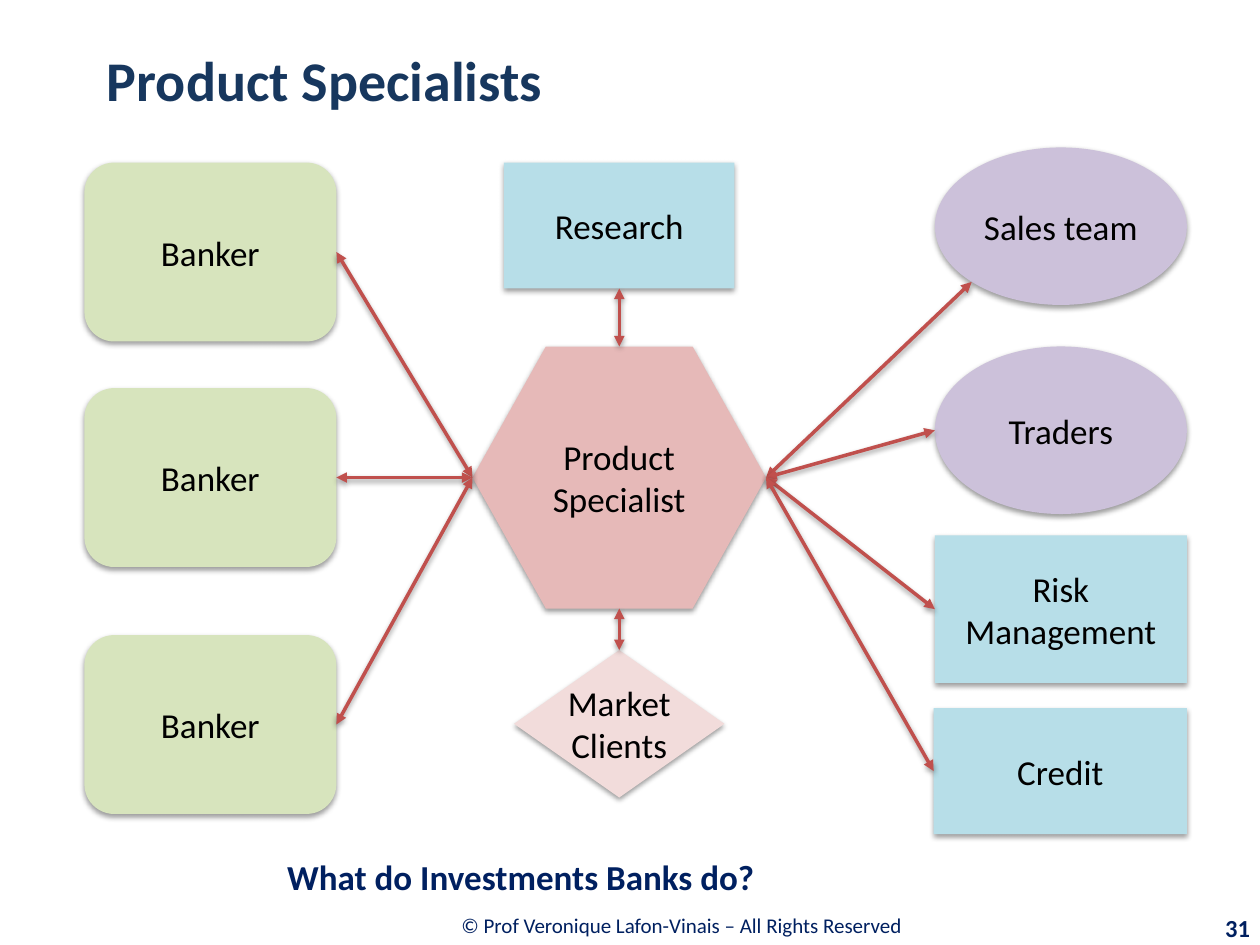
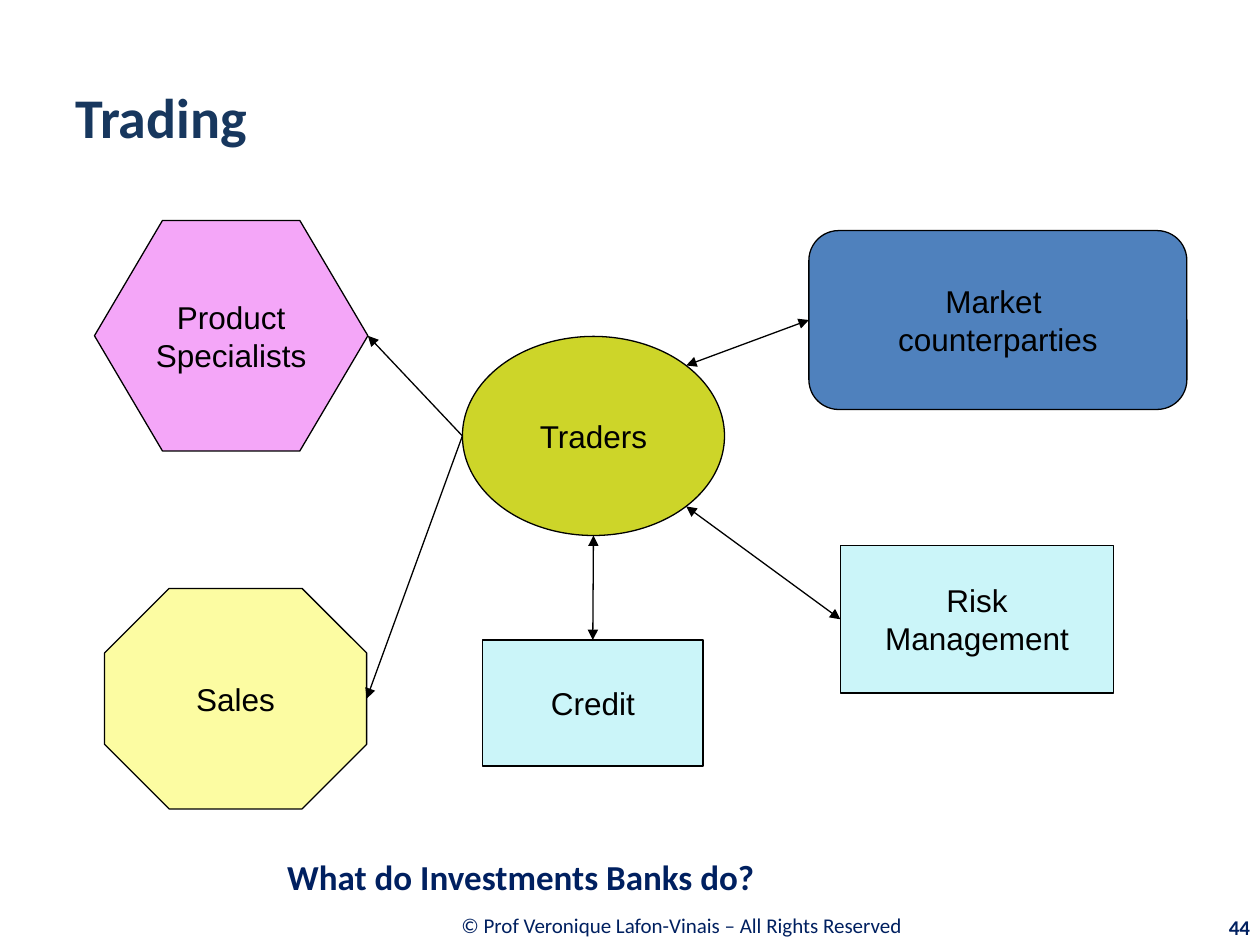
from lxml import etree
from pptx import Presentation
from pptx.dml.color import RGBColor
from pptx.enum.shapes import MSO_CONNECTOR, MSO_SHAPE
from pptx.enum.text import MSO_ANCHOR, PP_ALIGN
from pptx.oxml import parse_xml
from pptx.oxml.ns import nsdecls, qn
from pptx.util import Inches, Pt

TITLE_BLUE = RGBColor(0x17, 0x37, 0x5E)
NAVY = RGBColor(0x00, 0x20, 0x60)
BLACK = RGBColor(0x00, 0x00, 0x00)
RED = RGBColor(0xC0, 0x50, 0x4D)
ROSE = RGBColor(0xE6, 0xB9, 0xB8)
PALE_ROSE = RGBColor(0xF2, 0xDC, 0xDB)
GREEN = RGBColor(0xD7, 0xE4, 0xBD)
LILAC = RGBColor(0xCC, 0xC1, 0xDA)
AQUA = RGBColor(0xB7, 0xDE, 0xE8)
PALE_AQUA = RGBColor(0xCB, 0xF5, 0xF9)
YELLOW = RGBColor(0xFC, 0xFC, 0xA2)
LIME = RGBColor(0xCD, 0xD5, 0x29)
PINK = RGBColor(0xF4, 0xA6, 0xF8)
BLUE = RGBColor(0x4F, 0x81, 0xBD)

# Points on a shape, as fractions of its width and height
TOP, BOTTOM, LEFT, RIGHT = (0.5, 0), (0.5, 1), (0, 0.5), (1, 0.5)
LOWER_LEFT, UPPER_RIGHT, LOWER_RIGHT = (0.146, 0.854), (0.854, 0.146), (0.854, 0.854)

SHADOW = (f'<a:outerShdw {nsdecls("a")} blurRad="40000" dist="20000" dir="5400000" rotWithShape="0">'
          '<a:srgbClr val="000000"><a:alpha val="38000"/></a:srgbClr></a:outerShdw>')


def write(sp, text, size, font="Calibri", color=NAVY, bold=False, align=PP_ALIGN.LEFT, wrap=True):
    tf = sp.text_frame
    tf.text = text
    tf.word_wrap = wrap
    tf.vertical_anchor = MSO_ANCHOR.MIDDLE
    for p in tf.paragraphs:
        p.alignment = align
        p.font.size = Pt(size)
        p.font.name = font
        p.font.bold = bold
        p.font.color.rgb = color


def link(s, start, start_at, end, end_at, color, width, ends=("headEnd", "tailEnd")):
    """Draw an arrow between a point on one shape and a point on another."""
    points = [(int(sp.left + fx * sp.width), int(sp.top + fy * sp.height))
              for sp, (fx, fy) in ((start, start_at), (end, end_at))]
    line = s.shapes.add_connector(MSO_CONNECTOR.STRAIGHT, *points[0], *points[1])
    line.line.color.rgb = color
    line.line.width = Pt(width)
    ln = line.line._get_or_add_ln()
    for name in ends:
        etree.SubElement(ln, qn(f"a:{name}"), type="triangle")
    etree.SubElement(line._element.spPr, qn("a:effectLst"))


prs = Presentation()
prs.slide_width, prs.slide_height = Inches(10), Inches(7.5)

specialist_nodes = {
    "specialist": ("Product\nSpecialist", MSO_SHAPE.HEXAGON, ROSE, 3.75, 2.75, 2.33, 2.08),
    "banker 1": ("Banker", MSO_SHAPE.ROUNDED_RECTANGLE, GREEN, 0.67, 1.29, 2, 1.42),
    "banker 2": ("Banker", MSO_SHAPE.ROUNDED_RECTANGLE, GREEN, 0.67, 3.08, 2, 1.42),
    "banker 3": ("Banker", MSO_SHAPE.ROUNDED_RECTANGLE, GREEN, 0.67, 5.04, 2, 1.42),
    "sales": ("Sales team", MSO_SHAPE.OVAL, LILAC, 7.42, 1.17, 2, 1.25),
    "traders": ("Traders", MSO_SHAPE.OVAL, LILAC, 7.42, 2.75, 2, 1.33),
    "risk": ("Risk\nManagement", MSO_SHAPE.RECTANGLE, AQUA, 7.42, 4.25, 2, 1.17),
    "credit": ("Credit", MSO_SHAPE.RECTANGLE, AQUA, 7.41, 5.62, 2.01, 1),
    "research": ("Research", MSO_SHAPE.RECTANGLE, AQUA, 4, 1.29, 1.83, 1),
    "clients": ("Market\nClients", MSO_SHAPE.DIAMOND, PALE_ROSE, 4.08, 5.16, 1.67, 1.17),
}
specialist_links = [
    (LEFT, "banker 1", RIGHT), (LEFT, "banker 2", RIGHT), (LEFT, "banker 3", RIGHT),
    (RIGHT, "sales", LOWER_LEFT), (RIGHT, "traders", LEFT),
    (RIGHT, "risk", LEFT), (RIGHT, "credit", LEFT),
    (TOP, "research", BOTTOM), (BOTTOM, "clients", TOP),
]
trading_nodes = {
    "traders": ("Traders", MSO_SHAPE.OVAL, LIME, 3.67, 2.67, 2.08, 1.58),
    "sales": ("Sales", MSO_SHAPE.OCTAGON, YELLOW, 0.83, 4.67, 2.08, 1.75),
    "specialists": ("Product\nSpecialists", MSO_SHAPE.HEXAGON, PINK, 0.75, 1.75, 2.17, 1.83),
    "risk": ("Risk\nManagement", MSO_SHAPE.RECTANGLE, PALE_AQUA, 6.67, 4.33, 2.17, 1.17),
    "credit": ("Credit", MSO_SHAPE.RECTANGLE, PALE_AQUA, 3.83, 5.08, 1.75, 1),
    "market": ("Market \ncounterparties", MSO_SHAPE.FLOWCHART_ALTERNATE_PROCESS, BLUE,
               6.42, 1.83, 3, 1.42),
}
trading_links = [
    (LEFT, "sales", RIGHT, ["tailEnd"]), (LEFT, "specialists", RIGHT, ["tailEnd"]),
    (UPPER_RIGHT, "market", LEFT), (LOWER_RIGHT, "risk", LEFT), (BOTTOM, "credit", TOP),
]

slides = [
    dict(title="Product Specialists", title_box=(0.75, 0, 8.5, 1.25), number="31", number_size=14,
         nodes=specialist_nodes, links=specialist_links, hub="specialist", hexagon=0.28,
         font="Calibri", size=20, line=(RED, 2), raised=True),
    dict(title="Trading", title_box=(0.5, 0.3, 9, 1.25), number="44", number_size=12,
         nodes=trading_nodes, links=trading_links, hub="traders", hexagon=0.295,
         font="Arial", size=18, line=(BLACK, 0.75), raised=False),
]

for page in slides:
    s = prs.slides.add_slide(prs.slide_layouts[6])

    for text, box, style in [
        ("© Prof Veronique Lafon-Vinais – All Rights Reserved ", (2.19, 7.15, 6.48, 0.39),
         dict(size=12, align=PP_ALIGN.CENTER)),
        (page["title"], page["title_box"], dict(size=32, color=TITLE_BLUE, bold=True)),
        (page["number"], (9.01, 7.2, 1.01, 0.32),
         dict(size=page["number_size"], bold=True, align=PP_ALIGN.RIGHT)),
        ("What do Investments Banks do?", (2.18, 6.72, 7.82, 0.47), dict(size=20, bold=True)),
    ]:
        write(s.shapes.add_textbox(*map(Inches, box)), text, **style)

    nodes = {}
    for name, (text, kind, fill, *box) in page["nodes"].items():
        sp = s.shapes.add_shape(kind, *map(Inches, box))
        sp.shadow.inherit = False
        sp.fill.solid()
        sp.fill.fore_color.rgb = fill
        if page["raised"]:
            sp.line.fill.background()
        else:
            sp.line.color.rgb = BLACK
            sp.line.width = Pt(0.75)
        if kind == MSO_SHAPE.HEXAGON:
            sp.adjustments[0] = page["hexagon"]
        write(sp, text, page["size"], font=page["font"], color=BLACK,
              align=PP_ALIGN.CENTER, wrap=False)
        nodes[name] = sp

    for start_at, name, end_at, *ends in page["links"]:
        link(s, nodes[page["hub"]], start_at, nodes[name], end_at, *page["line"], *ends)

    if page["raised"]:
        for effects in s.shapes._spTree.iter(qn("a:effectLst")):
            effects.append(parse_xml(SHADOW))

prs.save("out.pptx")
